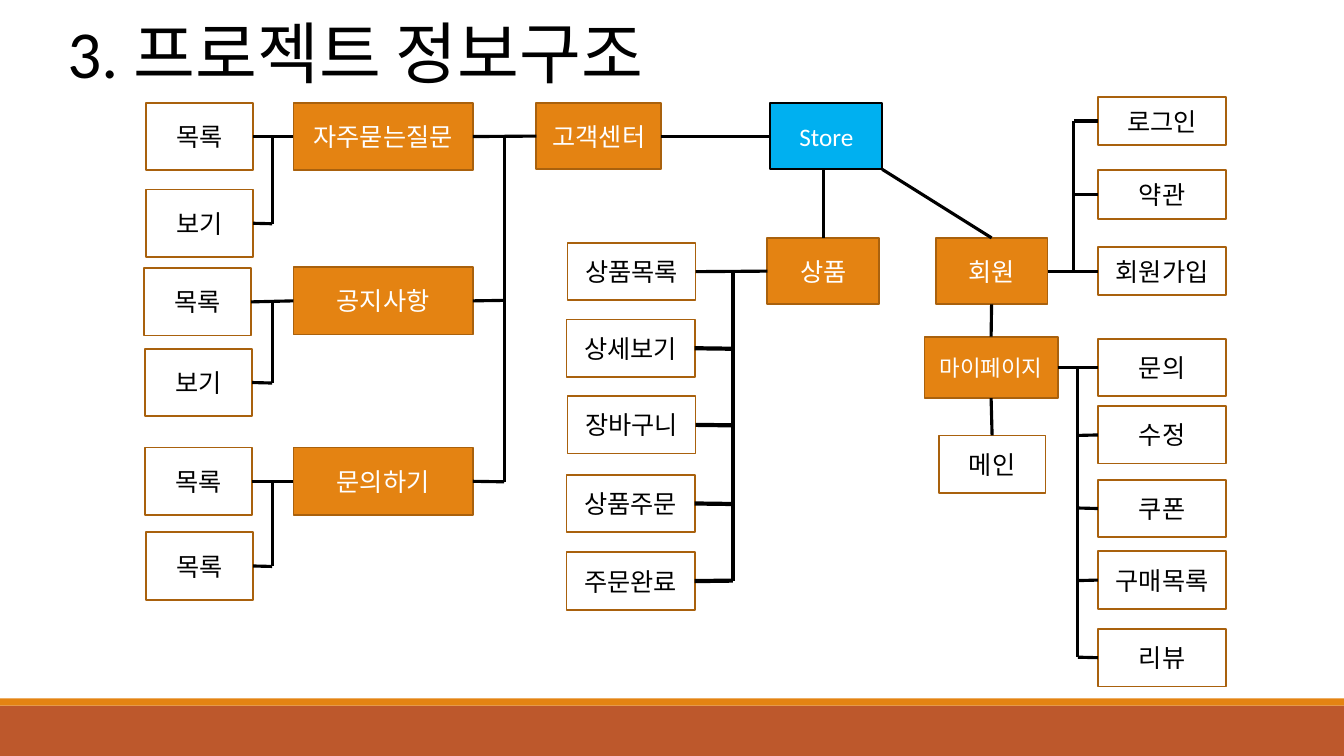
import pptx
import pptx.dml.color
import pptx.enum.shapes
import pptx.enum.text
import pptx.oxml.ns
import pptx.util

PX = 9144  # EMU in one px, 100 px to the inch
FONT = "Calibri"
BLACK, WHITE = "000000", "FFFFFF"
ORANGE, BROWN, BLUE, RUST = "E48312", "A9610D", "00B0F0", "BD582C"
TOP, LEFT, BOTTOM, RIGHT = range(4)


def rgb(code):
    return pptx.dml.color.RGBColor.from_string(code)


def add_run(para, text, size, color):
    run = para.add_run()
    run.text = text
    run.font.name = FONT
    run.font.size = pptx.util.Pt(size)
    run.font.color.rgb = rgb(color)


def title(slide, text, x, y, w, h):
    area = slide.shapes.add_textbox(x * PX, y * PX, w * PX, h * PX)
    frame = area.text_frame
    frame.word_wrap = False
    frame.auto_size = pptx.enum.text.MSO_AUTO_SIZE.SHAPE_TO_FIT_TEXT
    add_run(frame.paragraphs[0], text, 48, BLACK)


def rect(slide, x, y, w, h, fill):
    kind = pptx.enum.shapes.MSO_SHAPE.RECTANGLE
    shape = slide.shapes.add_shape(kind, x * PX, y * PX, w * PX, h * PX)
    shape.shadow.inherit = False
    shape.fill.solid()
    shape.fill.fore_color.rgb = rgb(fill)
    shape.line.fill.background()
    return shape


def box(slide, text, x, y, w, h, fill=ORANGE, edge=BROWN, color=WHITE, size=18):
    shape = rect(slide, x, y, w, h, fill)
    shape.line.color.rgb = rgb(edge)
    shape.line.width = pptx.util.Pt(1.25)
    frame = shape.text_frame
    frame.word_wrap = True
    frame.vertical_anchor = pptx.enum.text.MSO_ANCHOR.MIDDLE
    para = frame.paragraphs[0]
    para.alignment = pptx.enum.text.PP_ALIGN.CENTER
    add_run(para, text, size, color)
    return shape


def leaves(slide, w, h, items):
    return [box(slide, text, x, y, w, h, WHITE, BROWN, BLACK)
            for text, x, y in items]


def line(slide, x1, y1, x2, y2, width=2.25):
    kind = pptx.enum.shapes.MSO_CONNECTOR.STRAIGHT
    wire = slide.shapes.add_connector(kind, x1 * PX, y1 * PX, x2 * PX, y2 * PX)
    wire.line.color.rgb = rgb(BLACK)
    wire.line.width = pptx.util.Pt(width)
    props = wire._element.spPr
    props.append(props.makeelement(pptx.oxml.ns.qn("a:effectLst"), {}))
    return wire


def join(slide, start, side, end, site):
    wire = line(slide, 0, 0, 0, 0)
    wire.begin_connect(start, side)
    wire.end_connect(end, site)


def mid(shape):
    return round((shape.top + shape.height / 2) / PX)


def trunk(slide, x, nodes, side, main_at=0, widths=None):
    """Upright line at x, with a stub from each node but the main one."""
    line(slide, x, mid(nodes[0]), x, mid(nodes[-1]))
    for i, node in enumerate(nodes):
        if i != main_at:
            y = mid(node)
            width = widths[i] if widths else 2.25
            wire = line(slide, x, y, x, y, width)
            wire.begin_connect(node, side)


def main():
    deck = pptx.Presentation()
    deck.slide_width, deck.slide_height = 1333 * PX, 750 * PX
    slide = deck.slides.add_slide(deck.slide_layouts[6])

    # Footer bands and title
    rect(slide, 0, 700, 1333, 50, RUST)
    rect(slide, 0, 693, 1333, 7, ORANGE)
    title(slide, "3. 프로젝트 정보구조", 57, 6, 640, 91)

    # Main sections
    home = box(slide, "Store", 764, 102, 111, 66, BLUE, BLACK)
    user = box(slide, "회원", 928, 236, 111, 66)
    goods = box(slide, "상품", 761, 236, 111, 66)
    help_box = box(slide, "고객센터", 532, 102, 124, 66)
    join(slide, home, LEFT, help_box, RIGHT)
    line(slide, 817, 169, 817, 236)
    line(slide, 875, 168, 983, 236).end_connect(user, TOP)

    # Members
    entry = leaves(slide, 127, 48, [
        ("로그인", 1089, 96), ("약관", 1089, 169), ("회원가입", 1089, 245)])
    join(slide, user, RIGHT, entry[-1], LEFT)
    trunk(slide, 1065, entry, LEFT, 2, [3, 2.25, 2.25])

    # My page
    page = box(slide, "마이페이지", 917, 334, 132, 61, size=16)
    front = leaves(slide, 106, 57, [("메인", 931, 432)])[0]
    join(slide, user, BOTTOM, page, TOP)
    join(slide, page, BOTTOM, front, TOP)
    tools = leaves(slide, 127, 57, [
        ("문의", 1089, 336), ("수정", 1089, 403), ("쿠폰", 1089, 476),
        ("구매목록", 1089, 547), ("리뷰", 1089, 624)])
    join(slide, page, RIGHT, tools[0], LEFT)
    trunk(slide, 1069, tools, LEFT)

    # Goods
    steps = leaves(slide, 127, 57, [
        ("상품목록", 563, 241), ("상세보기", 562, 317), ("장바구니", 563, 393),
        ("상품주문", 562, 471), ("주문완료", 562, 548)])
    join(slide, steps[0], RIGHT, goods, LEFT)
    trunk(slide, 727, steps, RIGHT, 0, [3] * 5)

    # Help centre: each topic with its two pages
    topics = []
    for text, y, pages in [
            ("자주묻는질문", 102, [("목록", 145, 102), ("보기", 145, 188)]),
            ("공지사항", 265, [("목록", 143, 266), ("보기", 144, 346)]),
            ("문의하기", 444, [("목록", 144, 444), ("목록", 145, 528)])]:
        topic = box(slide, text, 291, y, 178, 67)
        pair = leaves(slide, 106, 67, pages)
        join(slide, pair[0], RIGHT, topic, LEFT)
        trunk(slide, 270, pair, RIGHT)
        topics.append(topic)
    join(slide, topics[0], RIGHT, help_box, LEFT)
    trunk(slide, 500, topics, RIGHT)

    deck.save("out.pptx")


if __name__ == "__main__":
    main()
